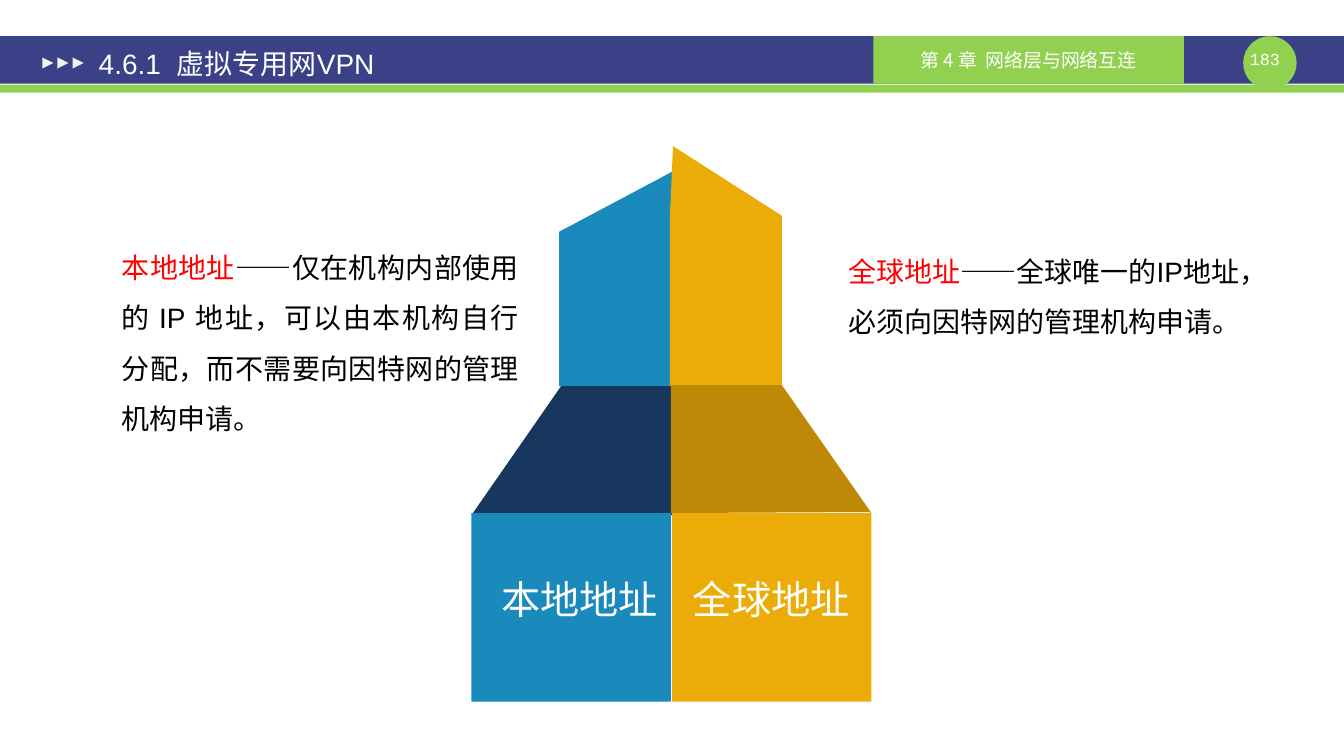
import pptx
import pptx.util
import pptx.dml.color
import pptx.enum.shapes
import pptx.enum.text
import lxml.etree

Inches = pptx.util.Inches
KIND = pptx.enum.shapes.MSO_SHAPE
ALIGN = pptx.enum.text.PP_ALIGN
MIDDLE = pptx.enum.text.MSO_ANCHOR.MIDDLE

ARIAL, CJK, MONO = "Arial", "Noto Sans CJK SC", "Courier New"
WHITE, BLACK, RED = "FFFFFF", "000000", "FF0000"
NAVY, GREEN, PALE = "3A4187", "92D050", "F2F2F2"
BLUE, GOLD, DEEP, BROWN = "1A8ABC", "EBAC07", "17375E", "BE8906"

BARS = [
    (KIND.RECTANGLE, (0, 0.36, 13.34, 0.47), NAVY),
    (KIND.RECTANGLE, (0, 0.84, 13.34, 0.08), GREEN),
    (KIND.OVAL, (12.34, 0.36, 0.53, 0.53), GREEN),
    (KIND.RECTANGLE, (8.67, 0.36, 3.08, 0.47), GREEN),
]
ARROWS = {"count": 3, "left": 0.42, "top": 0.57, "size": 0.11, "step": 0.15}

FACES = [
    (BLUE, [(6.66, 2.3), (6.66, 3.83), (5.55, 3.83), (5.55, 2.3), (6.68, 1.7)]),
    (GOLD, [(6.65, 2.14), (6.65, 3.84), (7.76, 3.84), (7.76, 2.14), (6.68, 1.45)]),
    (DEEP, [(4.68, 5.11), (5.57, 3.83), (6.67, 3.83), (6.67, 5.11), (4.7, 5.1)]),
    (BROWN, [(8.65, 5.09), (7.76, 3.82), (6.66, 3.82), (6.66, 5.09), (8.63, 5.08)]),
]
BASES = [
    (KIND.RECTANGLE, (4.68, 5.09, 1.98, 1.87), BLUE),
    (KIND.RECTANGLE, (6.67, 5.09, 1.98, 1.87), GOLD),
]

# place, runs of (text, colour), font, size, paragraph format, frame format
PAD = {"margin_left": Inches(0.13), "margin_right": Inches(0.13),
       "margin_top": Inches(0.07), "margin_bottom": Inches(0.07)}
BARE = dict.fromkeys(PAD, 0)
TEXTS = [
    ((12.34, 0.48, 0.53, 0.2), [("183 ", WHITE)], MONO, 12,
     {"alignment": ALIGN.CENTER}, BARE),
    ((8.67, 0.36, 3.08, 0.47), [("第 4 章  网络层与网络互连", WHITE)], CJK, 13.5,
     {"alignment": ALIGN.CENTER}, {"vertical_anchor": MIDDLE}),
    ((0.85, 0.39, 5.83, 0.47), [("4.6.1  虚拟专用网VPN", WHITE)], ARIAL, 20,
     {}, {"vertical_anchor": MIDDLE, **PAD}),
    ((8.32, 2.31, 4.14, 1.11),
     [("全球地址", RED),
      ("——全球唯一的IP地址，必须向因特网的管理机构申请。", BLACK)],
     ARIAL, 20, {"line_spacing": 1.5}, {}),
    ((1.11, 2.27, 4.14, 2.12),
     [("本地地址", RED),
      ("——仅在机构内部使用的 IP 地址，可以由本机构自行分配，"
       "而不需要向因特网的管理机构申请。", BLACK)],
     ARIAL, 20, {"line_spacing": 1.5, "alignment": ALIGN.JUSTIFY}, {}),
    ((4.88, 5.66, 1.77, 0.57), [("本地地址", WHITE)], CJK, 28, {}, {}),
    ((6.78, 5.66, 1.87, 0.57), [("全球地址", WHITE)], CJK, 28, {}, {}),
]


def color(text):
    return pptx.dml.color.RGBColor.from_string(text)


def apply(target, values):
    for name, value in values.items():
        setattr(target, name, value)


def paint(shape, fill):
    shape.shadow.inherit = False
    shape.fill.solid()
    shape.fill.fore_color.rgb = color(fill)
    shape.line.fill.background()


def add_shape(slide, kind, place, fill):
    shape = slide.shapes.add_shape(kind, *map(Inches, place))
    paint(shape, fill)
    return shape


def add_face(slide, fill, points):
    start, *rest = [(Inches(x), Inches(y)) for x, y in points]
    form = slide.shapes.build_freeform(*start)
    form.add_line_segments(rest, close=True)
    paint(form.convert_to_shape(), fill)


def add_text(slide, place, runs, font, size, style, layout):
    frame = slide.shapes.add_textbox(*map(Inches, place)).text_frame
    apply(frame, {"word_wrap": True, **layout})
    para = frame.paragraphs[0]
    apply(para, style)
    for text, shade in runs:
        run = para.add_run()
        run.text = text
        apply(run.font, {"name": font, "size": pptx.util.Pt(size)})
        run.font.color.rgb = color(shade)
        east = lxml.etree.SubElement(run.font._element, pptx.oxml.ns.qn("a:ea"))
        east.set("typeface", CJK)


def main():
    deck = pptx.Presentation()
    deck.slide_width, deck.slide_height = Inches(13.34), Inches(7.5)
    slide = deck.slides.add_slide(deck.slide_layouts[6])
    for bar in BARS:
        add_shape(slide, *bar)
    size = ARROWS["size"]
    for i in range(ARROWS["count"]):
        left = ARROWS["left"] + i * ARROWS["step"]
        place = (left, ARROWS["top"], size, size)
        add_shape(slide, KIND.ISOSCELES_TRIANGLE, place, PALE).rotation = 90
    for face in FACES:
        add_face(slide, *face)
    for base in BASES:
        add_shape(slide, *base)
    for text in TEXTS:
        add_text(slide, *text)
    deck.save("out.pptx")


if __name__ == "__main__":
    main()
